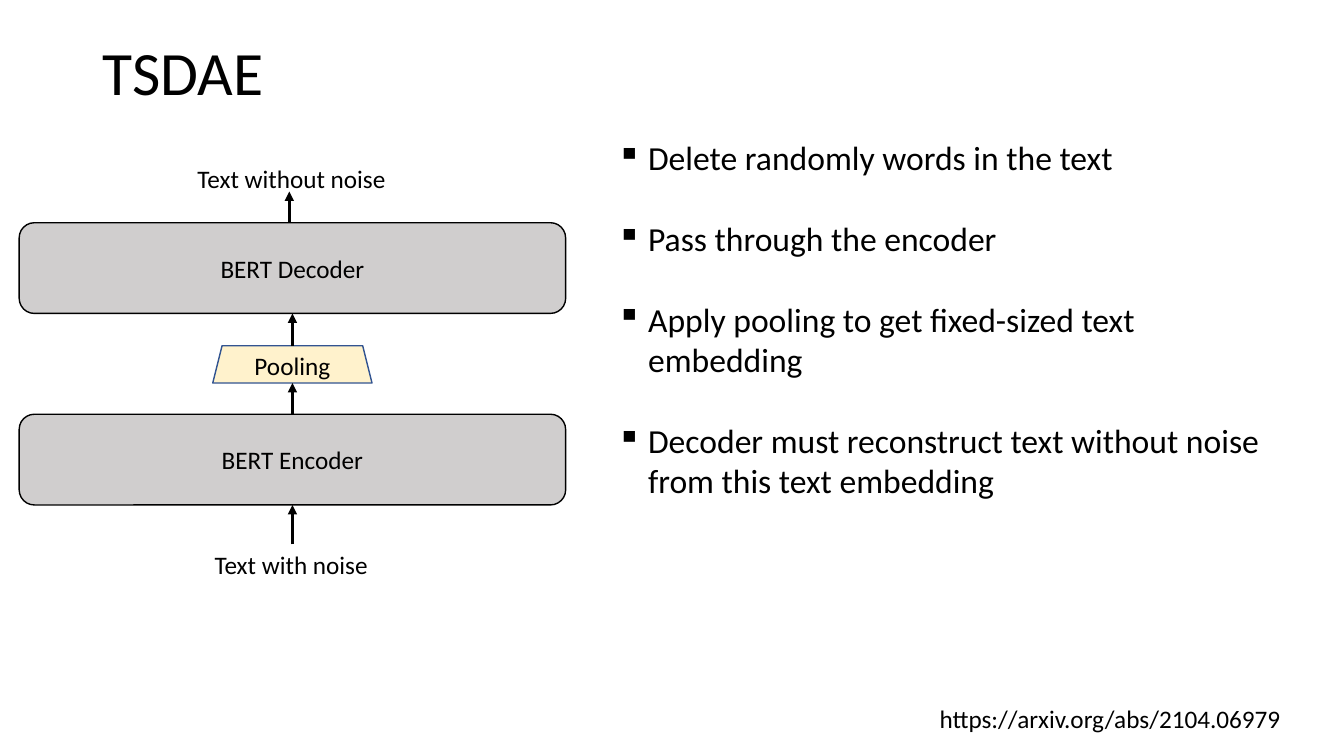
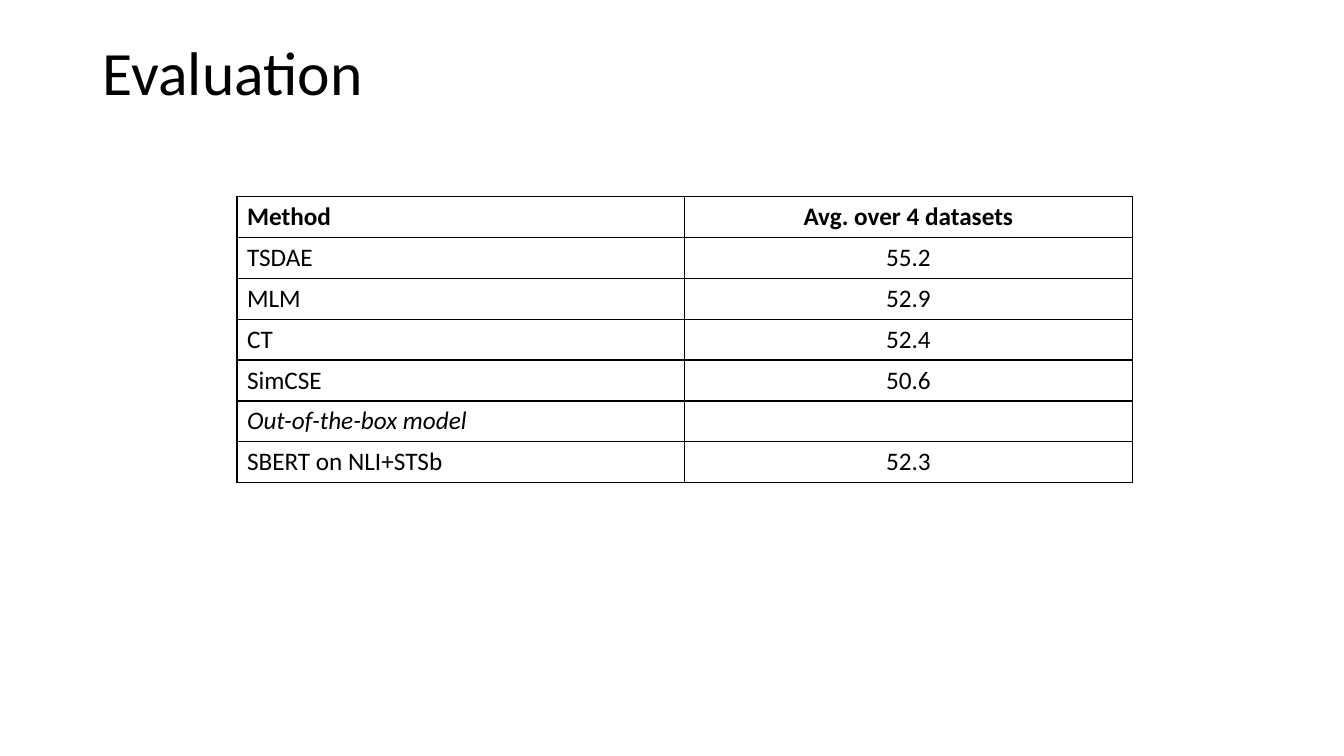
from lxml import etree
from pptx import Presentation
from pptx.dml.color import RGBColor
from pptx.enum.shapes import MSO_CONNECTOR, MSO_SHAPE
from pptx.enum.text import MSO_ANCHOR, MSO_AUTO_SIZE, PP_ALIGN
from pptx.oxml.ns import qn
from pptx.util import Pt

# Shared style; 100 px make one inch
PX = 9144
FONT = "Calibri"
BLACK = RGBColor(0x00, 0x00, 0x00)
WHITE = RGBColor(0xFF, 0xFF, 0xFF)
GRAY = RGBColor(0xD0, 0xCE, 0xCE)
CREAM = RGBColor(0xFF, 0xF2, 0xCC)
BLUE = RGBColor(0x32, 0x54, 0x91)
LEFT, CENTER = PP_ALIGN.LEFT, PP_ALIGN.CENTER
MIDDLE = MSO_ANCHOR.MIDDLE
NO_AUTOFIT = MSO_AUTO_SIZE.NONE
ROUNDED, TRAPEZOID = MSO_SHAPE.ROUNDED_RECTANGLE, MSO_SHAPE.TRAPEZOID
STRAIGHT = MSO_CONNECTOR.STRAIGHT
TOP_SITE, BOTTOM_SITE = 0, 2
TITLE_BOX = (92, 2, 1150, 145)
TITLE_SIZE, BODY_SIZE, BULLET_SIZE = 44, 18, 24

# Slide 1: autoencoder diagram, all parts centred on one axis
AXIS = 290
BLOCKS = [  # text, shape, top, width, height, fill, line
    ("BERT Encoder", ROUNDED, 411, 542, 90, GRAY, BLACK),
    ("BERT Decoder", ROUNDED, 221, 542, 90, GRAY, BLACK),
    ("Pooling", TRAPEZOID, 343, 158, 37, CREAM, BLUE),
]
LABELS = [  # text, left, top, width, height
    ("Text with noise", 203, 540, 174, 40),
    ("Text without noise", 186, 157, 209, 40),
    ("https://arxiv.org/abs/2104.06979", 922, 693, 362, 40),
]
ARROWS = [  # x, start y, end y, block left, block reached
    (AXIS, 540, 501, None, "BERT Encoder"),
    (AXIS, 411, 380, "BERT Encoder", "Pooling"),
    (AXIS, 343, 311, "Pooling", "BERT Decoder"),
    (287, 221, 190, None, None),
]
STEPS = [
    "Delete randomly words in the text",
    "Pass through the encoder",
    "Apply pooling to get fixed-sized text embedding",
    "Decoder must reconstruct text without noise from this text embedding",
]
STEPS_BOX = (602, 131, 690, 374)
BULLET_INDENT = 31
STEP_GAP = 29

# Slide 2: results
RESULTS = [
    ("Method", "Avg. over 4 datasets"),
    ("TSDAE", "55.2"),
    ("MLM", "52.9"),
    ("CT", "52.4"),
    ("SimCSE", "50.6"),
    ("Out-of-the-box model", ""),
    ("SBERT on NLI+STSb", "52.3"),
]
ITALIC_ROW = 5
TABLE_LEFT, TABLE_TOP, COLUMN_WIDTH, ROW_HEIGHT = 235, 195, 444, 40


def emu(*lengths):
    return [length * PX for length in lengths]


def add_run(paragraph, text, size=BODY_SIZE, bold=False, italic=False):
    run = paragraph.add_run()
    run.text = text
    font = run.font
    font.name, font.size, font.bold, font.italic = FONT, Pt(size), bold, italic
    font.color.rgb = BLACK


def add_titled_slide(presentation, text):
    slide = presentation.slides.add_slide(presentation.slide_layouts[5])
    title = slide.shapes.title
    title.left, title.top, title.width, title.height = emu(*TITLE_BOX)
    frame = title.text_frame
    frame.auto_size, frame.vertical_anchor = NO_AUTOFIT, MIDDLE
    paragraph = frame.paragraphs[0]
    paragraph.alignment, paragraph.line_spacing = LEFT, 0.9
    add_run(paragraph, text, TITLE_SIZE)
    return slide


def add_block(slide, text, kind, top, width, height, fill, line):
    shape = slide.shapes.add_shape(kind, *emu(AXIS - width // 2, top, width, height))
    shape.shadow.inherit = False
    shape.fill.solid()
    shape.fill.fore_color.rgb = fill
    shape.line.color.rgb, shape.line.width = line, Pt(1)
    shape.text_frame.vertical_anchor = MIDDLE
    paragraph = shape.text_frame.paragraphs[0]
    paragraph.alignment = CENTER
    add_run(paragraph, text)
    return shape


def add_label(slide, text, *box):
    frame = slide.shapes.add_textbox(*emu(*box)).text_frame
    frame.word_wrap = False
    add_run(frame.paragraphs[0], text)


def add_arrow(slide, x, start, end, source, target):
    arrow = slide.shapes.add_connector(STRAIGHT, *emu(x, start, x, end))
    if source is not None:
        arrow.begin_connect(source, TOP_SITE)
    if target is not None:
        arrow.end_connect(target, BOTTOM_SITE)
    arrow.line.color.rgb, arrow.line.width = BLACK, Pt(2.25)
    properties = arrow.element.spPr
    etree.SubElement(properties.find(qn("a:ln")), qn("a:tailEnd"), type="triangle")
    etree.SubElement(properties, qn("a:effectLst"))


def add_steps(slide):
    frame = slide.shapes.add_textbox(*emu(*STEPS_BOX)).text_frame
    frame.word_wrap = True
    for index, step in enumerate(STEPS):
        paragraph = frame.add_paragraph() if index else frame.paragraphs[0]
        properties = paragraph._p.get_or_add_pPr()
        properties.set("marL", str(BULLET_INDENT * PX))
        properties.set("indent", str(-BULLET_INDENT * PX))
        etree.SubElement(properties, qn("a:buChar"), char="▪")
        if index:
            paragraph.space_before = Pt(STEP_GAP)
        add_run(paragraph, step, BULLET_SIZE)


def add_borders(cell):
    properties = cell._tc.get_or_add_tcPr()
    for side in ("lnL", "lnR", "lnT", "lnB"):
        line = etree.SubElement(properties, qn(f"a:{side}"), w=str(Pt(1)))
        fill = etree.SubElement(line, qn("a:solidFill"))
        etree.SubElement(fill, qn("a:srgbClr"), val=str(BLACK))


def add_results(slide):
    rows, columns = len(RESULTS), len(RESULTS[0])
    box = emu(TABLE_LEFT, TABLE_TOP, COLUMN_WIDTH * columns, ROW_HEIGHT * rows)
    table = slide.shapes.add_table(rows, columns, *box).table
    table.first_row = table.horz_banding = False
    for row, values in enumerate(RESULTS):
        for column, value in enumerate(values):
            cell = table.cell(row, column)
            add_borders(cell)
            cell.fill.solid()
            cell.fill.fore_color.rgb = WHITE
            paragraph = cell.text_frame.paragraphs[0]
            paragraph.alignment = CENTER if column else LEFT
            if value:
                add_run(paragraph, value, bold=row == 0, italic=row == ITALIC_ROW)


def main():
    presentation = Presentation()
    presentation.slide_width, presentation.slide_height = emu(1333, 750)

    # Method slide
    slide = add_titled_slide(presentation, "TSDAE")
    blocks = {block[0]: add_block(slide, *block) for block in BLOCKS}
    for label in LABELS:
        add_label(slide, *label)
    for x, start, end, source, target in ARROWS:
        add_arrow(slide, x, start, end, blocks.get(source), blocks.get(target))
    add_steps(slide)

    # Results slide
    add_results(add_titled_slide(presentation, "Evaluation"))
    presentation.save("out.pptx")


if __name__ == "__main__":
    main()
